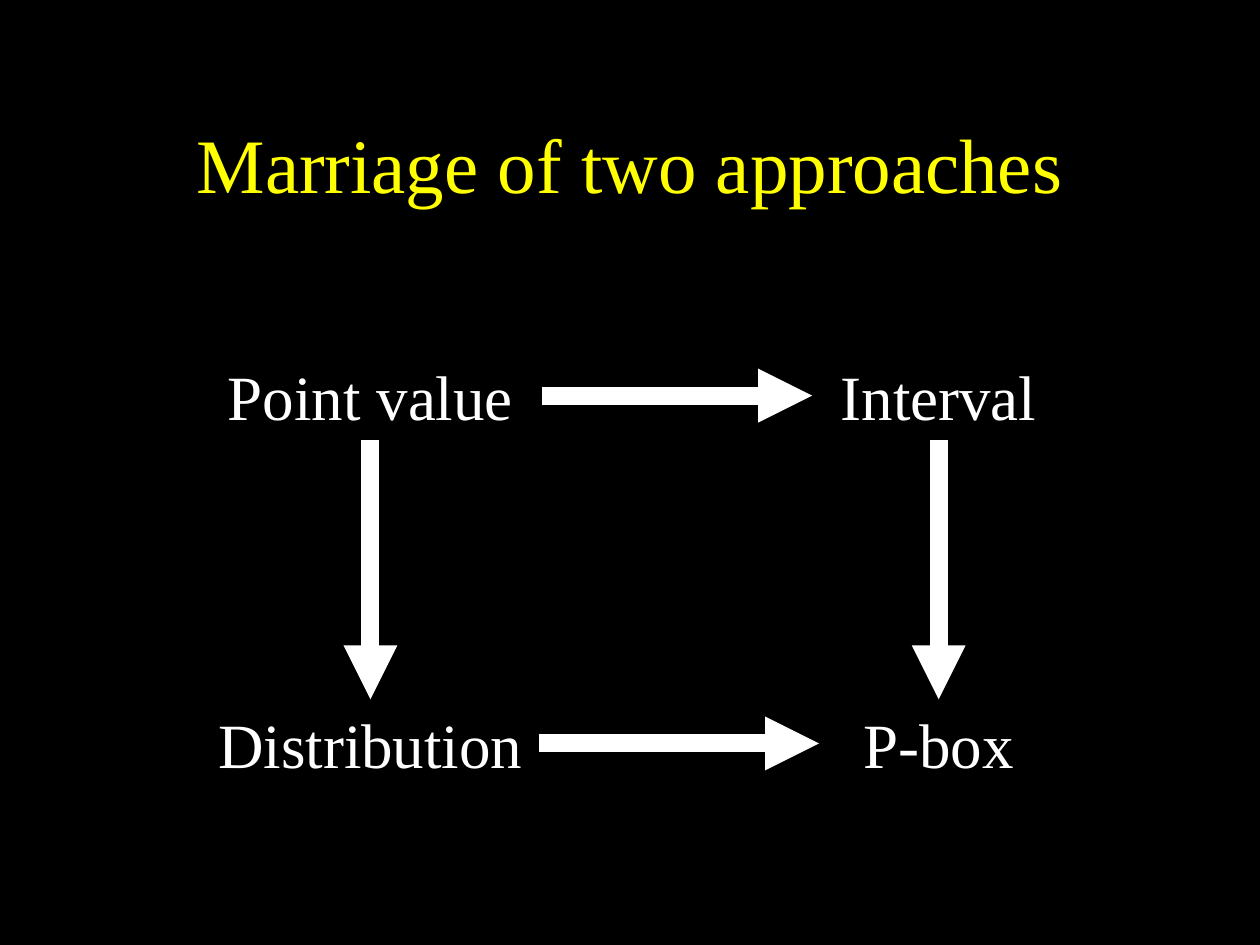
"""Build a slide with four concepts joined by arrows in a square."""
from pptx import Presentation, util as u
from pptx.dml.color import RGBColor
from pptx.enum import shapes, text
from pptx.oxml.ns import qn
from lxml import etree

BLACK = RGBColor(0, 0, 0)
WHITE = RGBColor(255, 255, 255)
YELLOW = RGBColor(255, 255, 0)

deck = Presentation()
deck.slide_width, deck.slide_height = u.Inches(10), u.Inches(7.5)
slide = deck.slides.add_slide(deck.slide_layouts[5])
slide.background.fill.solid()
slide.background.fill.fore_color.rgb = BLACK


def write(box, words, size, color):
    frame = box.text_frame
    frame.word_wrap = True
    para = frame.paragraphs[0]
    para.alignment = text.PP_ALIGN.CENTER
    run = para.add_run()
    run.text = words
    run.font.name = "Times New Roman"
    run.font.size = u.Pt(size)
    run.font.color.rgb = color


title = slide.shapes.title
title.left, title.top = u.Inches(0.75), u.Inches(0.67)
title.width, title.height = u.Inches(8.5), u.Inches(1.25)
title.text_frame.vertical_anchor = text.MSO_ANCHOR.MIDDLE
write(title, "Marriage of two approaches", 44, YELLOW)

cols, rows, high = (2.94, 7.45), (3.14, 5.9), 0.7
grid = [
    [("Point value", 2.72), ("Interval", 2.01)],
    [("Distribution", 2.67), ("P-box", 1.9)],
]
links = [((x, rows[0] + high / 2), (x, rows[1] - high / 2)) for x in cols]
for y, cells in zip(rows, grid):
    for x, (words, wide) in zip(cols, cells):
        box = slide.shapes.add_textbox(
            u.Inches(x - wide / 2), u.Inches(y - high / 2),
            u.Inches(wide), u.Inches(high))
        write(box, words, 36, WHITE)
    near, far = cells[0][1] / 2, cells[1][1] / 2
    links.append(((cols[0] + near, y), (cols[1] - far, y)))

for start, end in links:
    arrow = slide.shapes.add_connector(
        shapes.MSO_CONNECTOR.STRAIGHT, *[u.Inches(n) for n in start + end])
    arrow.line.color.rgb = WHITE
    arrow.line.width = u.Pt(10.25)
    etree.SubElement(arrow.line._get_or_add_ln(), qn("a:tailEnd"), type="triangle")
    etree.SubElement(arrow._element.spPr, qn("a:effectLst"))

deck.save("out.pptx")
